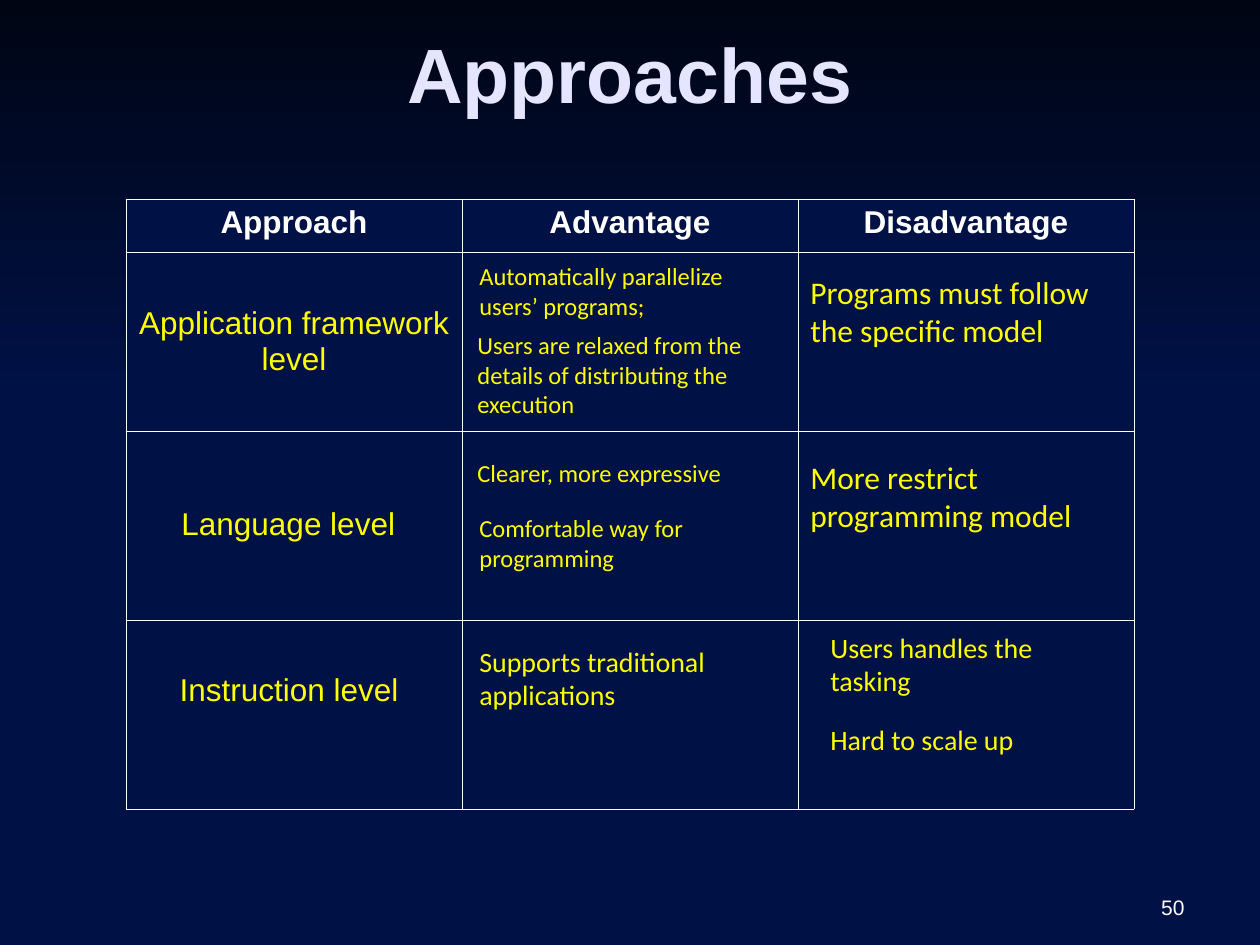
from dataclasses import dataclass
from itertools import accumulate

from lxml.etree import SubElement
from pptx import Presentation
from pptx.dml.color import RGBColor
from pptx.enum.shapes import MSO_SHAPE
from pptx.enum.text import MSO_ANCHOR, MSO_AUTO_SIZE, PP_ALIGN
from pptx.oxml.ns import qn
from pptx.util import Emu, Pt


@dataclass(frozen=True)
class Theme:
    night: str = "000514"
    navy: str = "001145"
    lavender: str = "E5E5FF"
    white: str = "FFFFFF"
    yellow: str = "FFFF00"
    sans: str = "Arial"
    note: str = "Calibri"
    title_size: int = 44
    large: int = 18
    medium: int = 16
    small: int = 14
    number_size: int = 12
    border: float = 0.45


THEME = Theme()
SLIDE_BOX = (0, 0, 1260, 945)
COLUMN_WIDTHS = [336, 336, 336]
ROW_HEIGHTS = [53, 179, 189, 189]
HEADINGS = ["Approach", "Advantage", "Disadvantage"]

# Row, column, box within that cell, wording, size, font, alignment
CELL_NOTES = [
    (1, 1, (3, 72, 333, 101), "Users are relaxed from the details of distributing the execution",
     THEME.small, THEME.note, PP_ALIGN.LEFT),
    (1, 1, (5, 3, 330, 101), "Automatically parallelize users’ programs;",
     THEME.small, THEME.note, PP_ALIGN.LEFT),
    (1, 2, (0, 15, 343, 164), "Programs must follow the specific model",
     THEME.large, THEME.note, PP_ALIGN.LEFT),
    (2, 0, (43, 67, 257, 88), "Language level", THEME.large, THEME.sans, PP_ALIGN.LEFT),
    (3, 0, (35, 44, 256, 50), "Instruction level", THEME.large, THEME.sans, PP_ALIGN.CENTER),
    (2, 1, (3, 21, 333, 43), "Clearer, more expressive",
     THEME.small, THEME.note, PP_ALIGN.LEFT),
    (2, 1, (5, 76, 333, 72), "Comfortable way for programming",
     THEME.small, THEME.note, PP_ALIGN.LEFT),
    (2, 2, (0, 21, 343, 126), "More restrict programming model",
     THEME.large, THEME.note, PP_ALIGN.LEFT),
    (3, 1, (5, 18, 275, 147), "Supports traditional applications",
     THEME.medium, THEME.note, PP_ALIGN.LEFT),
    (3, 2, (20, 4, 275, 81), "Users handles the tasking",
     THEME.medium, THEME.note, PP_ALIGN.LEFT),
    (3, 2, (20, 96, 275, 47), "Hard to scale up",
     THEME.medium, THEME.note, PP_ALIGN.LEFT),
]


def px(length):
    return Emu(round(length * 914400 / 126))


def rgb(color):
    return RGBColor.from_string(color)


def write(frame, wording, size, color, font=THEME.sans, align=PP_ALIGN.LEFT, bold=False):
    paragraph = frame.paragraphs[0]
    paragraph.alignment = align
    run = paragraph.add_run()
    run.text = wording
    run.font.size = Pt(size)
    run.font.name = font
    run.font.bold = bold
    run.font.color.rgb = rgb(color)


def add_label(slide, box, anchor=MSO_ANCHOR.TOP, grow=False, **text):
    frame = slide.shapes.add_textbox(*map(px, box)).text_frame
    frame.word_wrap = True
    frame.vertical_anchor = anchor
    frame.auto_size = MSO_AUTO_SIZE.SHAPE_TO_FIT_TEXT if grow else MSO_AUTO_SIZE.NONE
    write(frame, **text)


def add_backdrop(slide, box):
    left, top, width, _ = box
    slide.background.fill.solid()
    slide.background.fill.fore_color.rgb = rgb(THEME.navy)
    # Dark band fading down into the background
    band = slide.shapes.add_shape(MSO_SHAPE.RECTANGLE, *map(px, (left, top, width, 388)))
    band.shadow.inherit = False
    band.line.fill.background()
    band.fill.gradient()
    band.fill.gradient_angle = 270
    for stop, color, position in zip(band.fill.gradient_stops, (THEME.night, THEME.navy), (0, 1)):
        stop.color.rgb = rgb(color)
        stop.position = position


def style_cell(cell):
    properties = cell._tc.get_or_add_tcPr()
    for side in ("a:lnL", "a:lnR", "a:lnT", "a:lnB"):
        line = SubElement(properties, qn(side), w=str(Pt(THEME.border)))
        SubElement(SubElement(line, qn("a:solidFill")), qn("a:srgbClr"), val=THEME.white)
    cell.fill.solid()
    cell.fill.fore_color.rgb = rgb(THEME.navy)


def add_comparison(slide, box):
    left, top, _, _ = box
    table = slide.shapes.add_table(len(ROW_HEIGHTS), len(COLUMN_WIDTHS), *map(px, box)).table
    table.first_row = table.horz_banding = False
    for column, width in zip(table.columns, COLUMN_WIDTHS):
        column.width = px(width)
    for row, height in zip(table.rows, ROW_HEIGHTS):
        row.height = px(height)
    for cell in table.iter_cells():
        style_cell(cell)

    # Wording held by the table itself
    for column, heading in enumerate(HEADINGS):
        write(table.cell(0, column).text_frame, heading, THEME.large, THEME.white,
              align=PP_ALIGN.CENTER, bold=True)
    framework = table.cell(1, 0)
    framework.vertical_anchor = MSO_ANCHOR.MIDDLE
    write(framework.text_frame, "Application framework level", THEME.large, THEME.yellow,
          align=PP_ALIGN.CENTER)

    # Notes laid over the cells
    column_starts = list(accumulate(COLUMN_WIDTHS, initial=left))
    row_starts = list(accumulate(ROW_HEIGHTS, initial=top))
    for row, column, (dx, dy, width, height), wording, size, font, align in CELL_NOTES:
        note_box = (column_starts[column] + dx, row_starts[row] + dy, width, height)
        add_label(slide, note_box, grow=True, wording=wording, size=size,
                  color=THEME.yellow, font=font, align=align)


def add_approaches_slide(deck, box):
    slide = deck.slides.add_slide(deck.slide_layouts[6])
    left, top, _, _ = box
    add_backdrop(slide, box)
    # Title
    add_label(slide, (left + 63, top + 9, 1134, 127), MSO_ANCHOR.MIDDLE, wording="Approaches",
              size=THEME.title_size, color=THEME.lavender, align=PP_ALIGN.CENTER, bold=True)
    # Slide number
    add_label(slide, (left + 903, top + 861, 294, 65), MSO_ANCHOR.BOTTOM, wording="50",
              size=THEME.number_size, color=THEME.white, align=PP_ALIGN.RIGHT)
    # Comparison of the three levels
    add_comparison(slide, (left + 126, top + 199, sum(COLUMN_WIDTHS), sum(ROW_HEIGHTS)))


def main():
    deck = Presentation()
    deck.slide_width, deck.slide_height = map(px, SLIDE_BOX[2:])
    add_approaches_slide(deck, SLIDE_BOX)
    deck.save("out.pptx")


if __name__ == "__main__":
    main()
